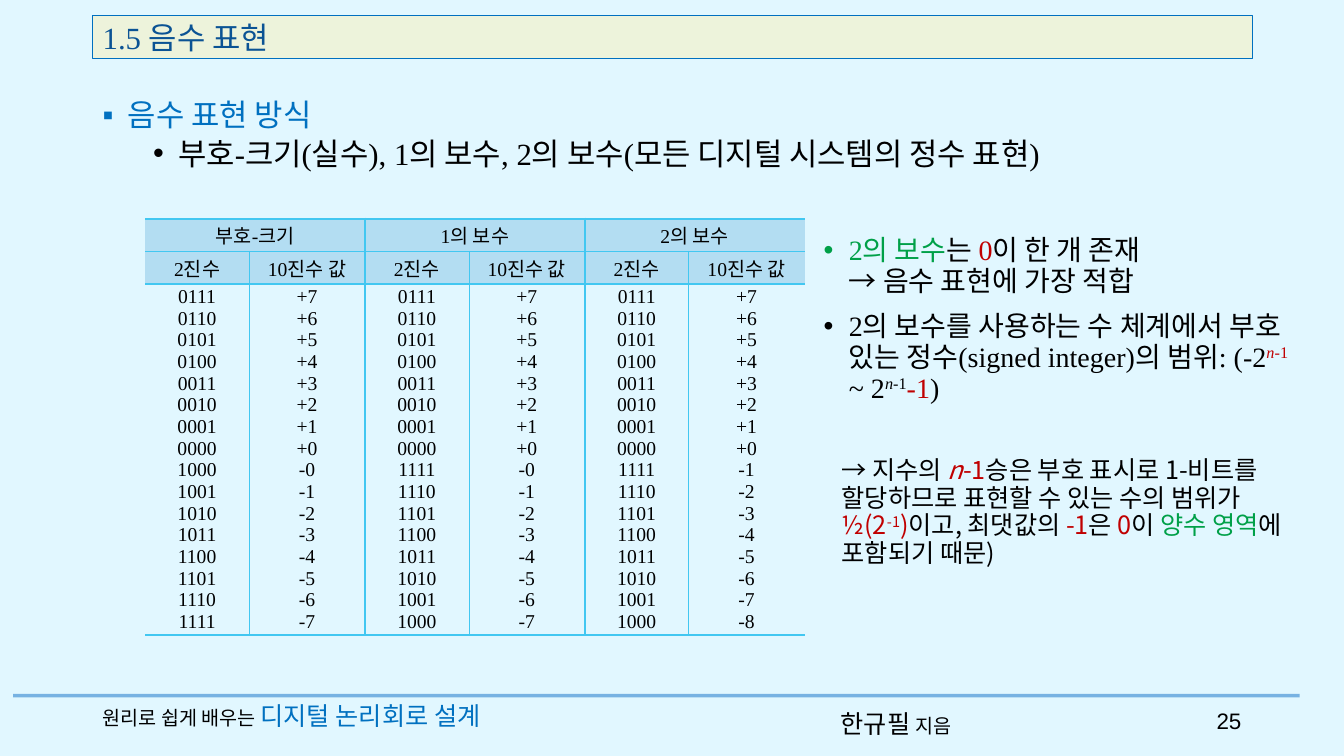
from dataclasses import dataclass, field

from lxml import etree
from pptx import Presentation
from pptx.dml.color import RGBColor
from pptx.enum.shapes import MSO_CONNECTOR, MSO_SHAPE
from pptx.enum.text import MSO_ANCHOR, PP_ALIGN
from pptx.oxml.ns import qn
from pptx.util import Pt

PX = 9144  # 100 px to the inch
TOP, MIDDLE = MSO_ANCHOR.TOP, MSO_ANCHOR.MIDDLE
LEFT, CENTER, RIGHT = PP_ALIGN.LEFT, PP_ALIGN.CENTER, PP_ALIGN.RIGHT
SERIF, KOREAN, SANS = "Times New Roman", "Noto Sans CJK KR", "Arial"
COLORS = {
    "background": "E1F7FF", "black": "000000", "blue": "0070C0", "navy": "0B5394",
    "green": "00A048", "red": "C00000", "cream": "EDF3DB", "header": "B3DDF2",
    "grid": "42C7F1", "footer": "0F6FC6",
}


@dataclass
class Run:
    text: str
    color: str = "black"
    italic: bool = False
    raised: bool = False
    size: float = 0
    font: str = ""


@dataclass
class Para:
    runs: list[Run]
    bullet: str = ""
    margin: int = 0
    format: dict = field(default_factory=dict)


@dataclass
class Box:
    frame: tuple[int, int, int, int]
    paras: list[Para]
    size: float
    font: str = SERIF
    anchor: MSO_ANCHOR = MIDDLE


def rgb(name: str) -> RGBColor:
    return RGBColor.from_string(COLORS[name])


def emu(*lengths: int) -> list[int]:
    return [length * PX for length in lengths]


def write_para(paragraph, para: Para, size: float, font: str) -> None:
    if para.bullet:
        props = paragraph._p.get_or_add_pPr()
        props.set("marL", str(para.margin * PX))
        props.set("indent", str(-25 * PX))
        etree.SubElement(props, qn("a:buFont"), typeface=SANS)
        etree.SubElement(props, qn("a:buChar"), char=para.bullet)
    for name, value in para.format.items():
        setattr(paragraph, name, value)
    for item in para.runs:
        for number, line in enumerate(item.text.split("\n")):
            if number:
                paragraph.add_line_break()
            run = paragraph.add_run()
            run.text = line
            style = {"name": item.font or font, "size": Pt(item.size or size),
                     "italic": item.italic}
            for name, value in style.items():
                setattr(run.font, name, value)
            run.font.color.rgb = rgb(item.color)
            if item.raised:
                run._r.get_or_add_rPr().set("baseline", "30000")


def write_frame(frame, paras: list[Para], size: float, font: str) -> None:
    for number, para in enumerate(paras):
        paragraph = frame.add_paragraph() if number else frame.paragraphs[0]
        write_para(paragraph, para, size, font)


def add_box(slide, box: Box) -> None:
    frame = slide.shapes.add_textbox(*emu(*box.frame)).text_frame
    frame.word_wrap = True
    frame.vertical_anchor = box.anchor
    write_frame(frame, box.paras, box.size, box.font)


def set_border(cell, side: str, points: float) -> None:
    props = cell._tc.get_or_add_tcPr()
    line = etree.SubElement(props, qn(f"a:ln{side}"), w=str(int(Pt(points))))
    if points:
        fill = etree.SubElement(line, qn("a:solidFill"))
        etree.SubElement(fill, qn("a:srgbClr"), val=COLORS["grid"])
    else:
        etree.SubElement(line, qn("a:noFill"))


prs = Presentation()
prs.slide_width, prs.slide_height = emu(1333, 750)
slide = prs.slides.add_slide(prs.slide_layouts[6])
slide.background.fill.solid()
slide.background.fill.fore_color.rgb = rgb("background")

# Footer rule, half transparent
rule = slide.shapes.add_connector(MSO_CONNECTOR.STRAIGHT, *emu(13, 690, 1289, 690))
rule.line.width = Pt(2.5)
rule.line.color.rgb = rgb("footer")
rule_color = rule._element.spPr.find(".//" + qn("a:srgbClr"))
etree.SubElement(rule_color, qn("a:alpha"), val="50000")
etree.SubElement(rule._element.spPr, qn("a:effectLst"))

# Title bar
title = slide.shapes.add_shape(MSO_SHAPE.RECTANGLE, *emu(92, 15, 1150, 43))
title.shadow.inherit = False
title.fill.solid()
title.fill.fore_color.rgb = rgb("cream")
title.line.color.rgb = rgb("blue")
title.line.width = Pt(0.75)
title.text_frame.vertical_anchor = MIDDLE
write_frame(title.text_frame, [Para([Run("1.5 음수 표현", "navy")], format={"alignment": LEFT})],
            22, SERIF)

# Table of the three notations
COLUMN_WIDTHS = [103, 115] * 3
ROW_HEIGHTS = [26, 26, 296]
THICK, MEDIUM, THIN = 1.7, 0.56, 0.28
ROW_LINES = [THICK, MEDIUM, THICK, THICK]
COLUMN_LINES = [0, THIN, THICK, THIN, THICK, THIN, 0]
positives = range(7, -1, -1)
notations = [  # heading runs, first negative value, code of -n
    ([("부호", KOREAN), ("-", SERIF), ("크기", KOREAN)], 0, lambda n: 8 + n),
    ([("1", SERIF), ("의 보수", KOREAN)], 0, lambda n: 15 - n),
    ([("2", SERIF), ("의 보수", KOREAN)], 1, lambda n: 16 - n),
]
BINARY = [("2", SERIF), ("진수", KOREAN)]
DECIMAL = [("10", SERIF), ("진수 값", KOREAN)]

table = slide.shapes.add_table(
    3, 6, *emu(144, 217, sum(COLUMN_WIDTHS), sum(ROW_HEIGHTS))).table
table.first_row = table.horz_banding = False
for column, width in zip(table.columns, COLUMN_WIDTHS):
    column.width = width * PX
for row, height in zip(table.rows, ROW_HEIGHTS):
    row.height = height * PX

contents = {}
for pair, (heading, first, code) in enumerate(notations):
    left = 2 * pair
    negatives = range(first, first + 8)
    table.cell(0, left).merge(table.cell(0, left + 1))
    contents[0, left] = [heading]
    contents[1, left], contents[1, left + 1] = [BINARY], [DECIMAL]
    codes = [*positives, *map(code, negatives)]
    values = [f"+{n}" for n in positives] + [f"-{n}" for n in negatives]
    contents[2, left] = [[(f"{n:04b}", SERIF)] for n in codes]
    contents[2, left + 1] = [[(value, SERIF)] for value in values]

CELL_FORMAT = {"margin_left": 7 * PX, "margin_right": 7 * PX, "margin_top": 2 * PX,
               "margin_bottom": 2 * PX, "vertical_anchor": MIDDLE}
for r in range(3):
    for c in range(6):
        cell = table.cell(r, c)
        for name, value in CELL_FORMAT.items():
            setattr(cell, name, value)
        right = c + 2 if cell.is_merge_origin else c + 1
        borders = {"L": COLUMN_LINES[c], "R": COLUMN_LINES[right],
                   "T": ROW_LINES[r], "B": ROW_LINES[r + 1]}
        for side, points in borders.items():
            set_border(cell, side, points)
        if r < 2:
            cell.fill.solid()
            cell.fill.fore_color.rgb = rgb("header")
        else:
            cell.fill.background()
        lines = [Para([Run(text, font=font) for text, font in line], format={"alignment": CENTER})
                 for line in contents.get((r, c), [])]
        write_frame(cell.text_frame, lines, 14, SERIF)

# Text boxes
BODY_SPACING = {"line_spacing": 0.85}
FACT_SPACING = {"line_spacing": 0.92}
boxes = [
    Box((92, 96, 1150, 114), [
        Para([Run("음수 표현 방식", "blue")], "▪", 25, BODY_SPACING),
        Para([Run("부호-크기(실수), 1의 보수, 2의 보수(모든 디지털 시스템의 정수 표현)")],
             "•", 75, BODY_SPACING | {"space_before": Pt(5)}),
    ], 22, anchor=TOP),
    Box((807, 229, 487, 218), [
        Para([Run("2의 보수", "green"), Run("는 "), Run("0", "red"),
              Run("이 한 개 존재\n→ 음수 표현에 가장 적합")], "•", 25, FACT_SPACING),
        Para([Run("2의 보수를 사용하는 수 체계에서 부호 있는 정수(signed integer)의 범위: (-2"),
              Run("n", "red", italic=True, raised=True), Run("-1 ", "red", raised=True),
              Run("~ 2"), Run("n", italic=True, raised=True), Run("-1", raised=True),
              Run("-1", "red"), Run(")")],
             "•", 25, FACT_SPACING | {"space_before": Pt(10)}),
    ], 20, anchor=TOP),
    Box((825, 449, 469, 141), [
        Para([Run("→ 지수의 "), Run("n", "red", italic=True), Run("-1", "red"),
              Run("승은 부호 표시로 1-비트를 할당하므로 표현할 수 있는 수의 범위가 "),
              Run("½(2", "red"), Run("-1", "red", raised=True), Run(")", "red"),
              Run("이고, 최댓값의 "), Run("-1", "red"), Run("은 "), Run("0", "red"),
              Run("이 "), Run("양수 영역", "green"), Run("에 포함되기 때문)")],
             format={"line_spacing": 0.91}),
    ], 18, KOREAN, TOP),
    Box((92, 690, 463, 40), [
        Para([Run("원리로 쉽게 배우는 ", size=14), Run("디지털 논리회로 설계", "blue")]),
    ], 18),
    Box((824, 698, 153, 40), [Para([Run("한규필 "), Run("지음", size=14)])], 18, KOREAN),
    Box((1179, 695, 62, 40), [Para([Run("25")], format={"alignment": RIGHT})], 16, SANS),
]
for box in boxes:
    add_box(slide, box)

prs.save("out.pptx")
